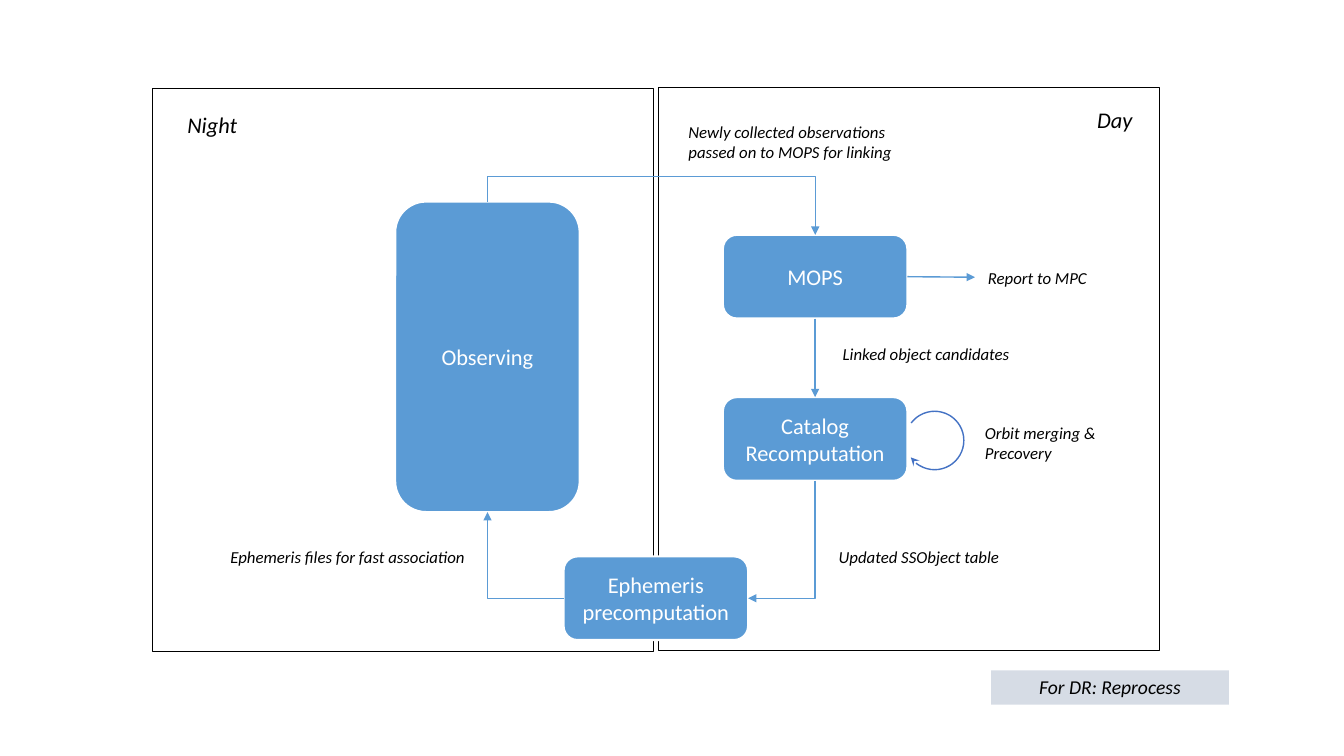
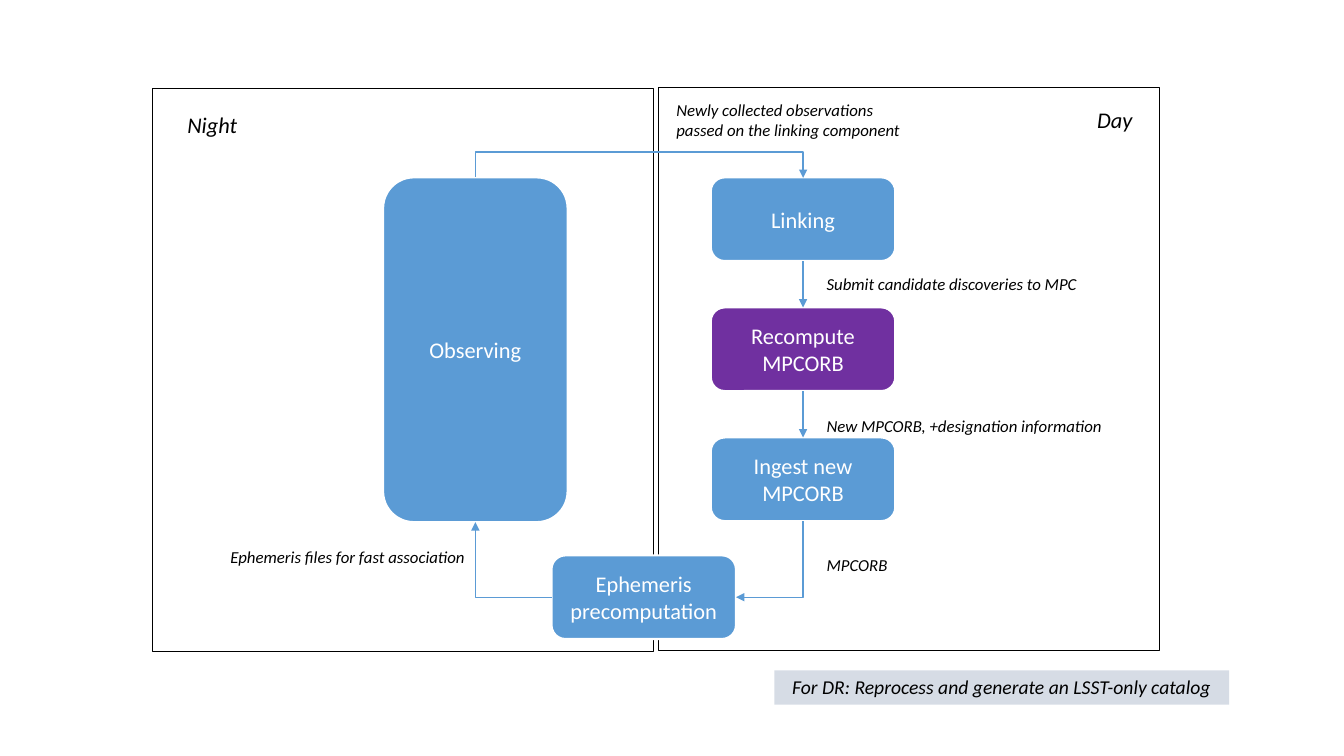
"""Build two slides showing the nightly and daily solar system processing cycle."""
from lxml.etree import SubElement
from pptx import Presentation
from pptx.dml.color import RGBColor
from pptx.enum.shapes import MSO_CONNECTOR, MSO_SHAPE
from pptx.enum.text import MSO_ANCHOR, MSO_AUTO_SIZE, PP_ALIGN
from pptx.oxml.ns import qn
from pptx.util import Inches, Pt

BLUE = RGBColor(0x5B, 0x9B, 0xD5)
PURPLE = RGBColor(0x70, 0x30, 0xA0)
LOOP_BLUE = RGBColor(0x44, 0x72, 0xC4)
PALE = RGBColor(0xD6, 0xDC, 0xE5)
WHITE = RGBColor(0xFF, 0xFF, 0xFF)
BLACK = RGBColor(0, 0, 0)
FONT = "Calibri"

FRAMES = [(6.53, 0.87, 4.97, 5.58), (1.51, 0.88, 4.97, 5.58)]
SHARED_LABELS = [
    ("Night", (1.76, 1.05, 1.27, 0.37), 16, PP_ALIGN.LEFT),
    ("Day", (9.98, 1.0, 1.35, 0.37), 16, PP_ALIGN.RIGHT),
    ("Ephemeris files for fast association", (1.3, 5.37, 3.41, 0.3), 12, PP_ALIGN.RIGHT),
]
CYCLES = [
    {
        "left": 3.92,
        "observing": (2.0, 3.08),
        "steps": [("MOPS", BLUE), ("Catalog Recomputation", BLUE)],
        "first_step": 2.33,
        "step_pitch": 1.61,
        "ephemeris": 5.52,
        "labels": [
            ("Newly collected observations passed on to MOPS for linking", (6.73, 1.16, 2.53, 0.5)),
            ("Linked object candidates", (8.26, 3.36, 2.53, 0.3)),
            ("Updated SSObject table", (8.22, 5.37, 2.95, 0.3)),
            ("Orbit merging &\vPrecovery", (9.67, 4.14, 2.0, 0.5)),
            ("Report to MPC", (9.7, 2.61, 1.31, 0.3)),
        ],
        "release_note": ("For DR: Reprocess", 2.36),
        "report_end": (9.67, 2.75),
        "merging_loop": (8.98, 4.08, 0.58, 0.58),
    },
    {
        "left": 3.8,
        "observing": (1.76, 3.42),
        "steps": [("Linking", BLUE), ("Recompute MPCORB", PURPLE), ("Ingest new MPCORB", BLUE)],
        "first_step": 1.76,
        "step_pitch": 1.29,
        "ephemeris": 5.51,
        "labels": [
            ("Newly collected observations passed on the linking component", (6.61, 0.94, 2.53, 0.5)),
            ("Submit candidate discoveries to MPC", (8.1, 2.67, 2.95, 0.3)),
            ("New MPCORB, +designation information", (8.1, 4.08, 3.41, 0.3)),
            ("MPCORB", (8.1, 5.45, 2.95, 0.3)),
        ],
        "release_note": ("For DR: Reprocess and generate an LSST-only catalog", 4.51),
    },
]
BOX_WIDTH, BOX_HEIGHT = 1.83, 0.83
STEP_OFFSET, EPHEMERIS_OFFSET = 3.25, 1.67
NOTE_RIGHT, NOTE_TOP, NOTE_HEIGHT = 12.19, 6.65, 0.34
RISE = 0.25
TOP, LEFT, BOTTOM, RIGHT = range(4)


def write(shape, text, size, color, align, italic=True, anchor=MSO_ANCHOR.TOP):
    frame = shape.text_frame
    frame.word_wrap = True
    frame.vertical_anchor = anchor
    frame.text = text
    for paragraph in frame.paragraphs:
        paragraph.alignment = align
        paragraph.font.size = Pt(size)
        for run in paragraph.runs:
            run.font.name = FONT
            run.font.size = Pt(size)
            run.font.italic = italic
            run.font.color.rgb = color


def draw(slide, preset, place, fill=None, line=None, width=0):
    shape = slide.shapes.add_shape(preset, *map(Inches, place))
    shape.shadow.inherit = False
    if fill is None:
        shape.fill.background()
    else:
        shape.fill.solid()
        shape.fill.fore_color.rgb = fill
    if line is None:
        shape.line.fill.background()
    else:
        shape.line.color.rgb = line
        shape.line.width = Pt(width)
    return shape


def add_box(slide, text, place, fill=BLUE):
    box = draw(slide, MSO_SHAPE.ROUNDED_RECTANGLE, place, fill, WHITE, 1.5)
    write(box, text, 16, WHITE, PP_ALIGN.CENTER, False, MSO_ANCHOR.MIDDLE)
    return box


def add_label(slide, text, place, size=12, align=PP_ALIGN.LEFT):
    label = slide.shapes.add_textbox(*map(Inches, place))
    write(label, text, size, BLACK, align)
    label.text_frame.auto_size = MSO_AUTO_SIZE.SHAPE_TO_FIT_TEXT


def add_head(shape, head):
    SubElement(shape.line._get_or_add_ln(), qn("a:tailEnd"), type=head)


def add_arrow(slide, source, source_site, target=None, target_site=None,
              end=(0, 0), kind=MSO_CONNECTOR.STRAIGHT):
    arrow = slide.shapes.add_connector(kind, 0, 0, *map(Inches, end))
    arrow.begin_connect(source, source_site)
    if target is not None:
        arrow.end_connect(target, target_site)
    arrow.line.color.rgb = BLUE
    arrow.line.width = Pt(1)
    add_head(arrow, "triangle")
    SubElement(arrow.element.spPr, qn("a:effectLst"))
    return arrow


def add_elbow(slide, source, source_site, target, target_site, turn, over=False):
    elbow = add_arrow(slide, source, source_site, target, target_site, kind=MSO_CONNECTOR.ELBOW)
    across = abs(elbow.end_x - elbow.begin_x)
    down = max(abs(elbow.end_y - elbow.begin_y), Inches(0.01))
    center_x = (elbow.begin_x + elbow.end_x) // 2
    center_y = (elbow.begin_y + elbow.end_y) // 2
    width, height = (across, down) if turn == 180 else (down, across)
    elbow.left, elbow.top = center_x - width // 2, center_y - height // 2
    elbow.width, elbow.height = width, height
    frame = elbow.element.spPr.find(qn("a:xfrm"))
    frame.set("rot", str(turn * 60000))
    frame.set("flipH", "1" if over else "0")
    frame.set("flipV", "0")
    geometry = elbow.element.spPr.find(qn("a:prstGeom"))
    geometry.set("prst", "bentConnector3" if over else "bentConnector2")
    if over:
        guides = geometry.find(qn("a:avLst"))
        if guides is None:
            guides = SubElement(geometry, qn("a:avLst"))
        bend = round(-Inches(RISE) / down * 100000)
        SubElement(guides, qn("a:gd"), name="adj1", fmla=f"val {bend}")


def build_cycle(slide, cycle):
    for place in FRAMES:
        draw(slide, MSO_SHAPE.RECTANGLE, place, line=BLACK)
    left = cycle["left"]
    top, height = cycle["observing"]
    observing = add_box(slide, "Observing", (left, top, BOX_WIDTH, height))
    steps = [
        add_box(slide, text, (left + STEP_OFFSET, cycle["first_step"] + i * cycle["step_pitch"],
                              BOX_WIDTH, BOX_HEIGHT), fill)
        for i, (text, fill) in enumerate(cycle["steps"])
    ]
    ephemeris = add_box(slide, "Ephemeris precomputation",
                        (left + EPHEMERIS_OFFSET, cycle["ephemeris"], BOX_WIDTH, BOX_HEIGHT))

    for upper, lower in zip(steps, steps[1:]):
        add_arrow(slide, upper, BOTTOM, lower, TOP)
    add_elbow(slide, steps[-1], BOTTOM, ephemeris, RIGHT, 90)
    add_elbow(slide, ephemeris, LEFT, observing, BOTTOM, 180)
    add_elbow(slide, observing, TOP, steps[0], TOP, 270, over=True)
    if "report_end" in cycle:
        add_arrow(slide, steps[0], RIGHT, end=cycle["report_end"])
    if "merging_loop" in cycle:
        loop = draw(slide, MSO_SHAPE.ARC, cycle["merging_loop"], line=LOOP_BLUE, width=1)
        loop.adjustments[0], loop.adjustments[1] = 130.07, 86.76
        add_head(loop, "stealth")

    for label in SHARED_LABELS + cycle["labels"]:
        add_label(slide, *label)
    text, width = cycle["release_note"]
    note = draw(slide, MSO_SHAPE.RECTANGLE, (NOTE_RIGHT - width, NOTE_TOP, width, NOTE_HEIGHT), PALE)
    write(note, text, 14, BLACK, PP_ALIGN.CENTER)


deck = Presentation()
deck.slide_width, deck.slide_height = Inches(13.33), Inches(7.5)
for cycle in CYCLES:
    build_cycle(deck.slides.add_slide(deck.slide_layouts[6]), cycle)
deck.save("out.pptx")
